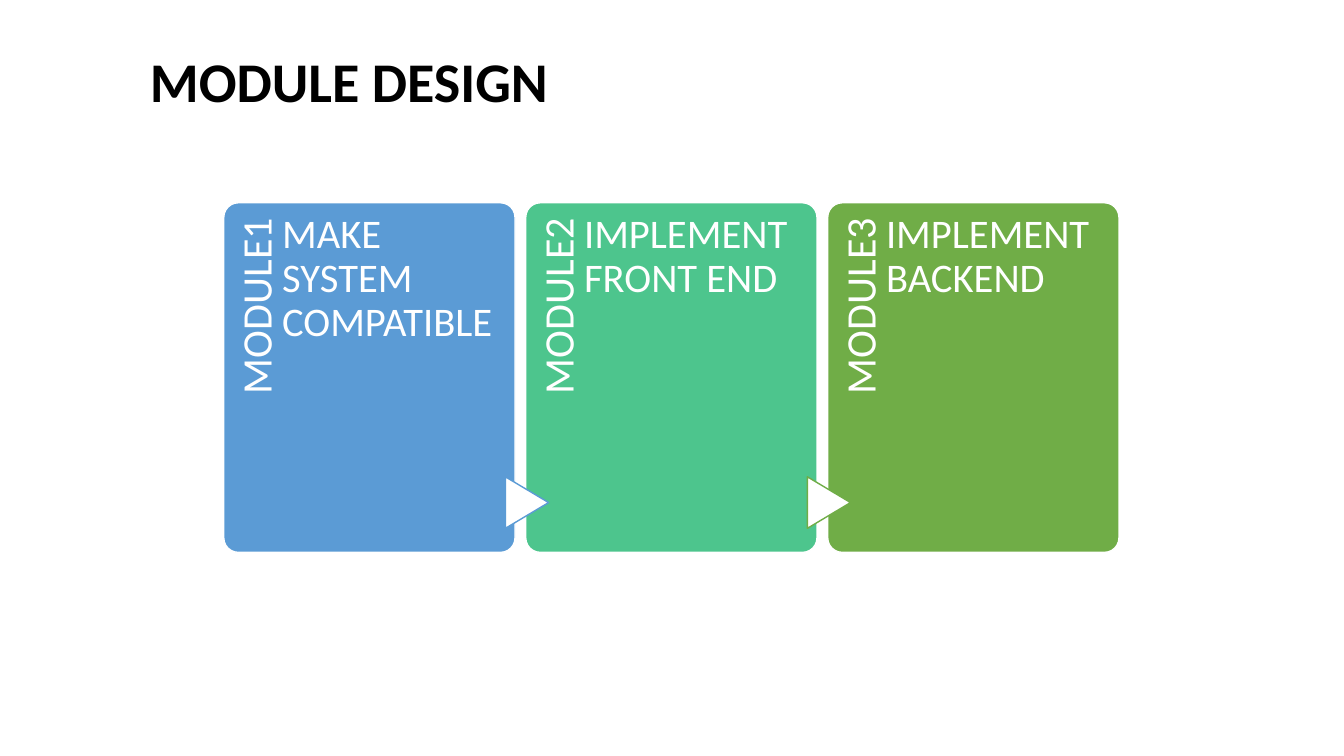
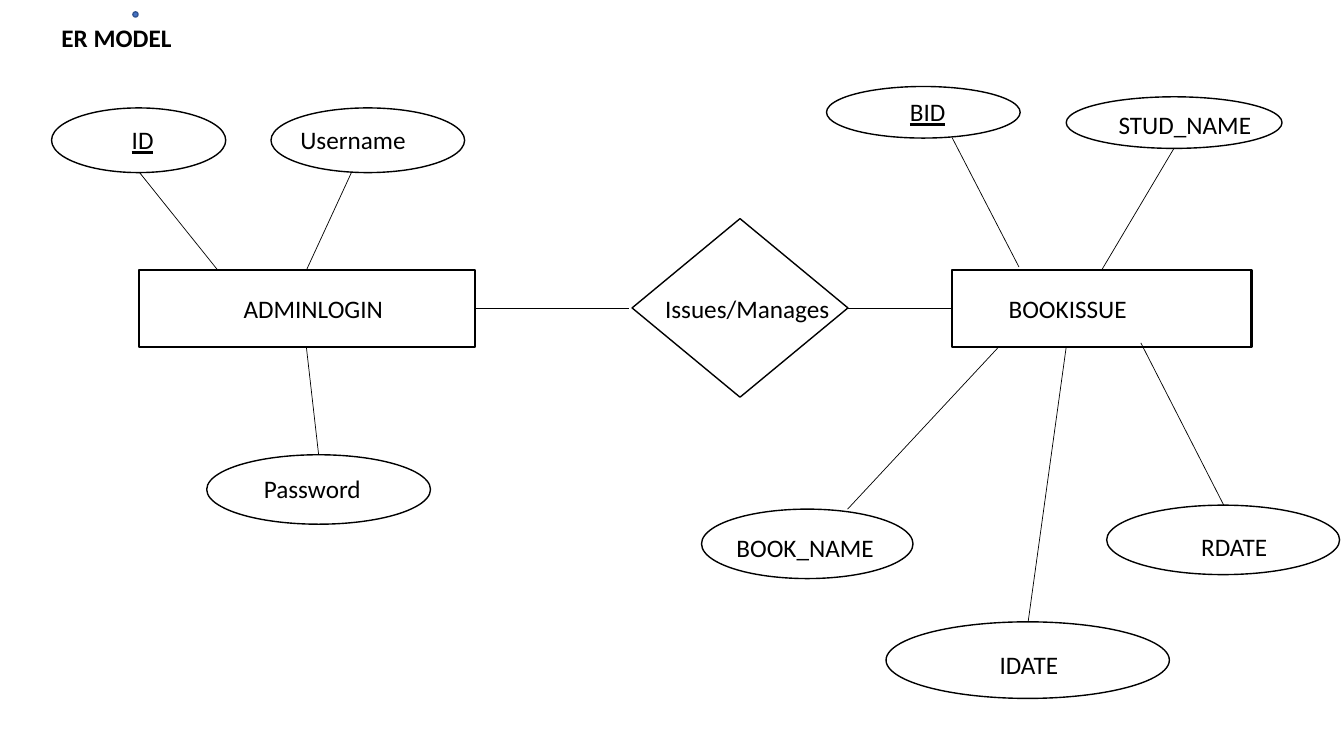
"""Build the module design and ER model slides."""
from dataclasses import dataclass

from lxml.etree import SubElement
from pptx import Presentation
from pptx.dml.color import RGBColor
from pptx.enum.shapes import MSO_CONNECTOR, MSO_SHAPE
from pptx.enum.text import MSO_ANCHOR, PP_ALIGN
from pptx.oxml.ns import qn
from pptx.shapes.autoshape import Shape
from pptx.slide import Slide
from pptx.util import Cm, Pt

FONT = "Calibri"
WIDTH, HEIGHT = 33.87, 19.05
COLORS = {
    "black": "000000",
    "white": "FFFFFF",
    "blue": "5B9BD5",
    "teal": "4DC58D",
    "green": "70AD47",
    "dot": "4472C4",
    "rim": "325491",
}


@dataclass
class Box:
    x: float
    y: float
    w: float
    h: float


@dataclass
class Card:
    name: str
    text: str
    fill: str
    edge: str = ""


@dataclass
class Node:
    text: str
    box: Box
    x: float
    y: float
    kind: MSO_SHAPE = MSO_SHAPE.OVAL
    line: float = 1
    key: bool = False


@dataclass
class Link:
    x1: float
    y1: float
    x2: float
    y2: float


CARDS = [
    Card("MODULE1", "MAKE SYSTEM COMPATIBLE", "blue"),
    Card("MODULE2", "IMPLEMENT FRONT END", "teal", "blue"),
    Card("MODULE3", "IMPLEMENT BACKEND", "green", "green"),
]

NODES = [
    Node("ADMINLOGIN", Box(3.51, 6.81, 8.46, 1.93), 5.89, 7.26, MSO_SHAPE.RECTANGLE, 1.5),
    Node("ID", Box(1.3, 2.72, 4.39, 1.63), 3.07, 3.02, key=True),
    Node("Username", Box(6.83, 2.72, 4.88, 1.63), 7.32, 3.02),
    Node("Password", Box(5.21, 11.46, 5.64, 1.75), 6.4, 11.81),
    Node("Issues/Manages", Box(15.93, 5.51, 5.44, 4.5), 16.51, 7.26, MSO_SHAPE.DIAMOND),
    Node("BOOKISSUE", Box(24, 6.81, 7.54, 1.93), 25.17, 7.26, MSO_SHAPE.RECTANGLE, 1.5),
    Node("BID", Box(20.83, 2.18, 4.88, 1.3), 22.68, 2.31, key=True),
    Node("STUD_NAME", Box(26.87, 2.44, 5.44, 1.3), 27.94, 2.64),
    Node("BOOK_NAME", Box(17.68, 12.83, 5.33, 1.75), 18.31, 13.28),
    Node("RDATE", Box(27.89, 12.73, 5.87, 1.75), 30.02, 13.26),
    Node("IDATE", Box(22.33, 15.67, 7.14, 1.93), 24.94, 16.23),
]

LINKS = [
    Link(3.51, 4.34, 5.49, 6.81),
    Link(7.72, 6.81, 8.86, 4.34),
    Link(8.03, 11.46, 7.72, 8.74),
    Link(11.96, 7.77, 15.85, 7.77),
    Link(21.36, 7.77, 24, 7.77),
    Link(25.17, 8.74, 21.36, 12.83),
    Link(26.87, 8.74, 25.91, 15.67),
    Link(28.75, 8.64, 30.84, 12.73),
    Link(25.68, 6.73, 24, 3.48),
    Link(27.76, 6.81, 29.59, 3.73),
]


def color(name: str) -> RGBColor:
    """Look up a named colour."""
    return RGBColor.from_string(COLORS[name])


def shape(slide: Slide, kind: MSO_SHAPE, box: Box, fill: str, edge: str,
          line: float = 1) -> Shape:
    """Draw a filled and outlined shape."""
    item = slide.shapes.add_shape(kind, Cm(box.x), Cm(box.y), Cm(box.w), Cm(box.h))
    item.shadow.inherit = False
    item.fill.solid()
    item.fill.fore_color.rgb = color(fill)
    item.line.color.rgb = color(edge)
    item.line.width = Pt(line)
    return item


def label(slide: Slide, text: str, box: Box, size: float, tint: str = "black",
          bold: bool = False, under: bool = False) -> Shape:
    """Write one paragraph in a wrapping text box."""
    item = slide.shapes.add_textbox(Cm(box.x), Cm(box.y), Cm(box.w), Cm(box.h))
    frame = item.text_frame
    frame.word_wrap = True
    frame.vertical_anchor = MSO_ANCHOR.TOP
    para = frame.paragraphs[0]
    para.text = text
    font = para.font
    font.name, font.size, font.bold, font.underline = FONT, Pt(size), bold, under
    font.color.rgb = color(tint)
    return item


def inset(item: Shape, right: float = 0) -> None:
    """Tighten the margins and lines of card text."""
    frame = item.text_frame
    frame.margin_left = frame.margin_bottom = 0
    frame.margin_top, frame.margin_right = Cm(0.28), Cm(right)
    frame.paragraphs[0].line_spacing = 0.9


def draw_card(slide: Slide, card: Card, x: float) -> None:
    """Draw a module card with its side name and arrow."""
    top, high = 5.11, 8.81
    back = shape(slide, MSO_SHAPE.ROUNDED_RECTANGLE, Box(x, top, 7.34, high),
                 card.fill, "white")
    back.adjustments[0] = 0.05
    side = label(slide, card.name, Box(x - 2.87, 8, 7.24, 1.47), 30, "white")
    side.rotation = 270
    side.text_frame.paragraphs[0].alignment = PP_ALIGN.RIGHT
    inset(side, 0.38)
    if card.edge:
        arrow = shape(slide, MSO_SHAPE.FLOWCHART_EXTRACT,
                      Box(x - 0.62, 12.12, 1.3, 1.09), "white", card.edge)
        arrow.rotation = 90
    inset(label(slide, card.text, Box(x + 1.47, top, 5.49, high), 29, "white"))


def draw_node(slide: Slide, node: Node) -> None:
    """Draw an ER node and its label."""
    shape(slide, node.kind, node.box, "white", "black", node.line)
    wide = min(5, WIDTH - node.x)
    label(slide, node.text, Box(node.x, node.y, wide, 1.02), 18, under=node.key)


def draw_link(slide: Slide, link: Link) -> None:
    """Draw a thin straight line."""
    item = slide.shapes.add_connector(MSO_CONNECTOR.STRAIGHT, Cm(link.x1), Cm(link.y1),
                                      Cm(link.x2), Cm(link.y2))
    item.line.color.rgb = color("black")
    item.line.width = Pt(0.5)
    SubElement(item._element.spPr, qn("a:effectLst"))


def main() -> None:
    """Build and save both slides."""
    deck = Presentation()
    deck.slide_width, deck.slide_height = Cm(WIDTH), Cm(HEIGHT)
    blank = deck.slide_layouts[6]

    slide = deck.slides.add_slide(blank)
    for i, card in enumerate(CARDS):
        draw_card(slide, card, 5.64 + i * 7.61)
    label(slide, "MODULE DESIGN", Box(3.53, 1.04, 17.5, 1.96), 40, bold=True)

    slide = deck.slides.add_slide(blank)
    for node in NODES:
        draw_node(slide, node)
    for link in LINKS:
        draw_link(slide, link)
    shape(slide, MSO_SHAPE.OVAL, Box(3.35, 0.3, 0.13, 0.13), "dot", "rim")
    label(slide, "ER MODEL", Box(1.3, 0.43, 16.94, 1.02), 18, bold=True)

    deck.save("out.pptx")


if __name__ == "__main__":
    main()
